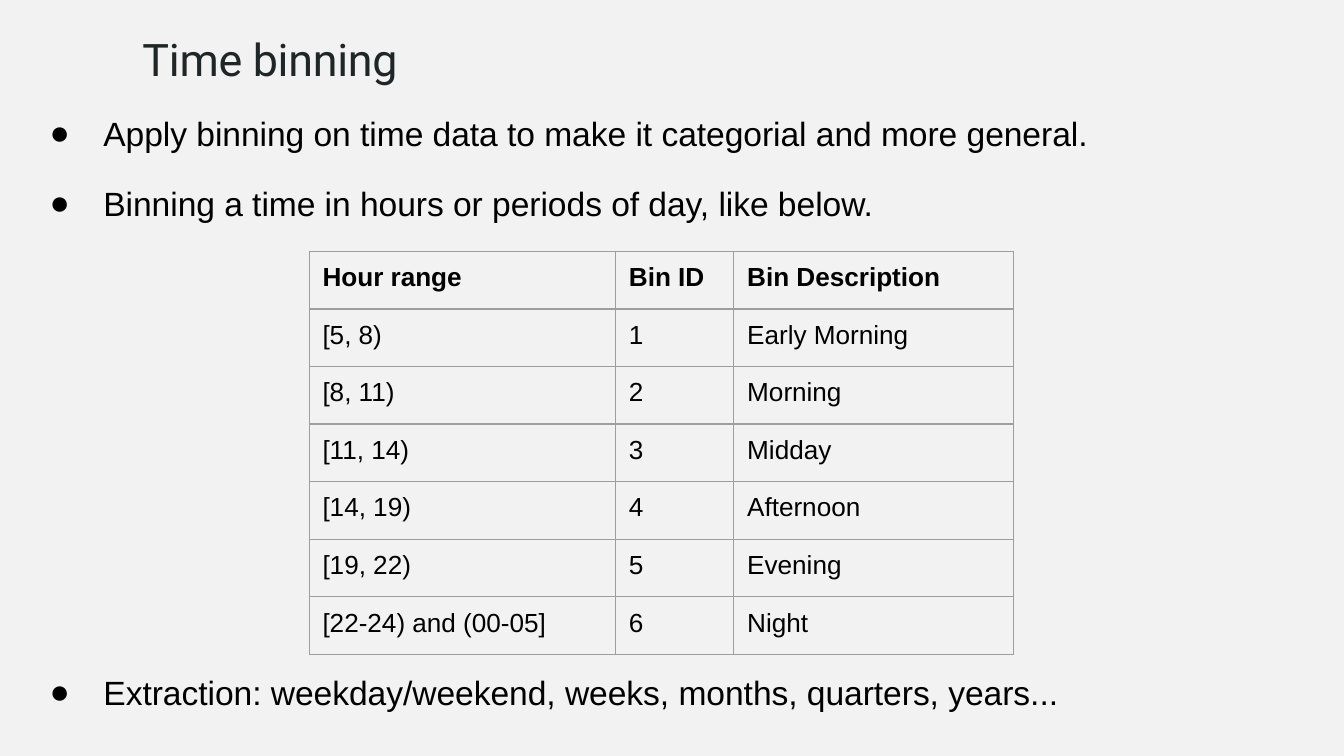
from lxml import etree
from pptx import Presentation
from pptx.dml.color import RGBColor
from pptx.enum import text as text_enum
from pptx.oxml.ns import qn
from pptx.util import Inches, Pt

BACKGROUND = RGBColor(0xF2, 0xF2, 0xF2)
BLACK = RGBColor(0, 0, 0)
TITLE_COLOR = RGBColor(0x1F, 0x26, 0x28)
BORDER = RGBColor(0x9E, 0x9E, 0x9E)

SLIDE_WIDTH = 10
HOUR_BINS = [
    ("Hour range", "Bin ID", "Bin Description"),
    ("[5, 8)", "1", "Early Morning"),
    ("[8, 11)", "2", "Morning"),
    ("[11, 14)", "3", "Midday"),
    ("[14, 19)", "4", "Afternoon"),
    ("[19, 22)", "5", "Evening"),
    ("[22-24) and (00-05]", "6", "Night"),
]
COLUMN_WIDTHS = (2.28, 0.88, 2.08)


def write_text(paragraph, content, size=18, font="Arial", color=BLACK, bold=False,
               spacing=-0.03, before=0):
    """Add one formatted run; spacing is the tracking in points."""
    paragraph.space_before = Pt(before)
    run = paragraph.add_run()
    run.text = content
    run.font.size = Pt(size)
    run.font.name = font
    run.font.bold = bold
    run.font.color.rgb = color
    run.font._element.set("spc", str(round(spacing * 100)))


def add_bullet(paragraph, margin=0.41, hanging=0.4):
    properties = paragraph._p.get_or_add_pPr()
    properties.set("marL", str(Inches(margin)))
    properties.set("indent", str(-Inches(hanging)))
    etree.SubElement(properties, qn("a:buFont"), typeface="Arial")
    etree.SubElement(properties, qn("a:buChar"), char="●")


def add_text_frame(slide, left, top, width, height):
    frame = slide.shapes.add_textbox(
        Inches(left), Inches(top), Inches(width), Inches(height)).text_frame
    frame.word_wrap = True
    frame.margin_left = frame.margin_right = frame.margin_bottom = 0
    frame.margin_top = Inches(0.01)
    return frame


def add_title(slide, content):
    frame = add_text_frame(slide, 1.06, 0.23, 1.92, 0.43)
    write_text(frame.paragraphs[0], content, size=24, font="Roboto",
               color=TITLE_COLOR, spacing=-0.15)


def add_bullets(slide, items, left, top, width, height):
    frame = add_text_frame(slide, left, top, width, height)
    for index, item in enumerate(items):
        paragraph = frame.add_paragraph() if index else frame.paragraphs[0]
        add_bullet(paragraph)
        write_text(paragraph, item, before=15.9 if index else 0)


def set_borders(cell):
    properties = cell._tc.get_or_add_tcPr()
    for side in ("lnL", "lnR", "lnT", "lnB"):
        line = etree.SubElement(properties, qn(f"a:{side}"), w=str(Pt(0.75)))
        fill = etree.SubElement(line, qn("a:solidFill"))
        etree.SubElement(fill, qn("a:srgbClr"), val=str(BORDER))


def fill_cell(cell, content, bold):
    set_borders(cell)
    cell.fill.solid()
    cell.fill.fore_color.rgb = BACKGROUND
    cell.margin_left = Inches(0.1)
    cell.margin_right = cell.margin_bottom = 0
    cell.margin_top = Pt(6.2)
    cell.vertical_anchor = text_enum.MSO_ANCHOR.TOP
    write_text(cell.text_frame.paragraphs[0], content, size=14, bold=bold)


def add_bin_table(slide):
    table = slide.shapes.add_table(
        len(HOUR_BINS), len(COLUMN_WIDTHS), Inches(2.3), Inches(1.87),
        Inches(sum(COLUMN_WIDTHS)), Inches(3)).table
    table.horz_banding = False
    for column, width in zip(table.columns, COLUMN_WIDTHS):
        column.width = Inches(width)
    for row_index, values in enumerate(HOUR_BINS):
        for column_index, value in enumerate(values):
            fill_cell(table.cell(row_index, column_index), value, bold=row_index == 0)


def main():
    presentation = Presentation()
    presentation.slide_width = Inches(SLIDE_WIDTH)
    presentation.slide_height = Inches(SLIDE_WIDTH * 9 / 16)
    slide = presentation.slides.add_slide(presentation.slide_layouts[6])
    slide.background.fill.solid()
    slide.background.fill.fore_color.rgb = BACKGROUND

    add_title(slide, "Time binning")
    add_bullets(slide, [
        "Apply binning on time data to make it categorial and more general.",
        "Binning a time in hours or periods of day, like below.",
    ], 0.36, 0.83, 7.77, 0.85)
    add_bin_table(slide)
    add_bullets(slide, [
        "Extraction: weekday/weekend, weeks, months, quarters, years...",
    ], 0.36, 4.99, 7.55, 0.33)
    presentation.save("out.pptx")


if __name__ == "__main__":
    main()
